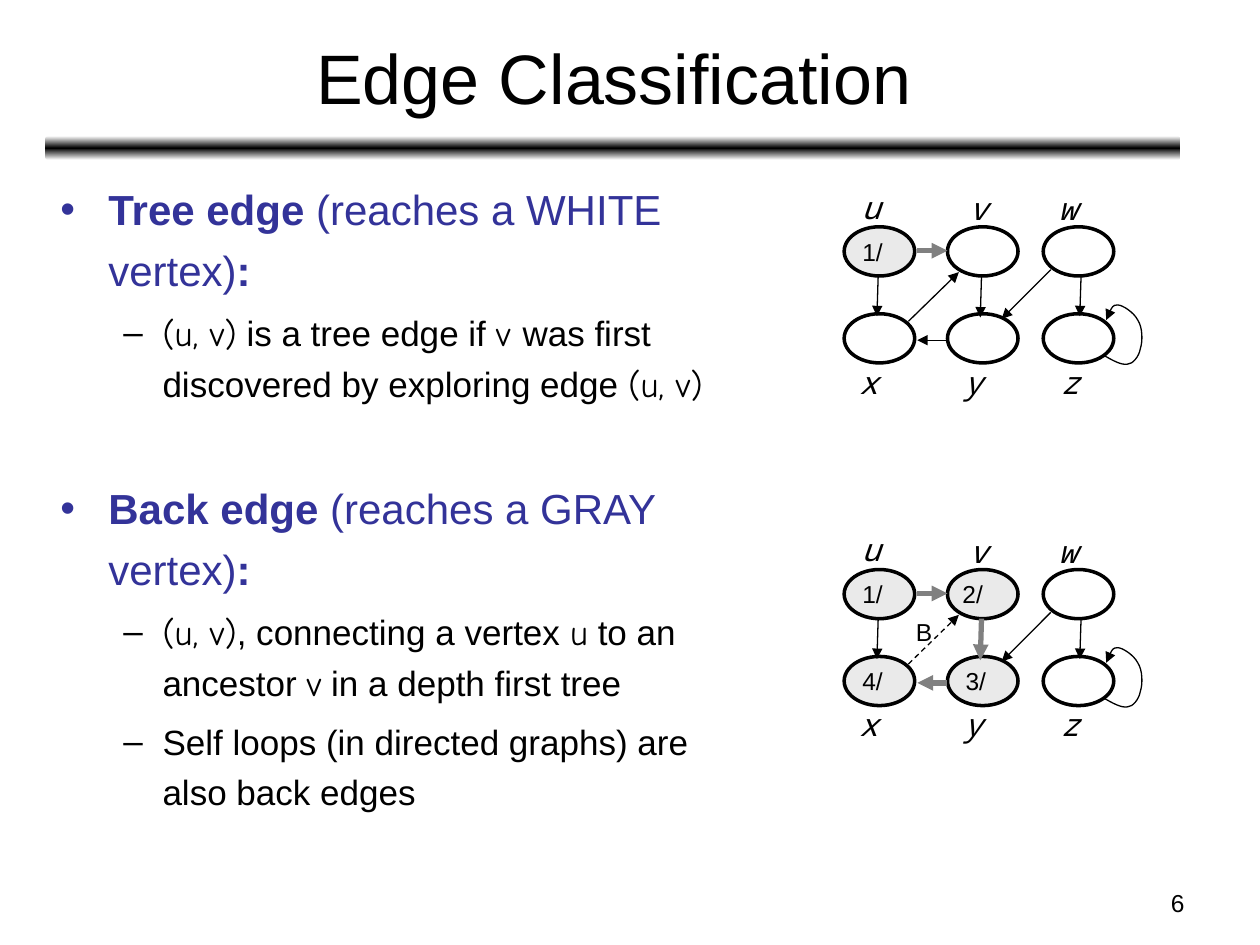
from copy import deepcopy
from dataclasses import dataclass

from pptx import Presentation
from pptx import util as u
from pptx.dml.color import RGBColor
from pptx.enum import dml, shapes, text
from pptx.oxml import ns, xmlchemy


@dataclass(frozen=True)
class Theme:
    ink: RGBColor = RGBColor(0, 0, 0)
    paper: RGBColor = RGBColor(255, 255, 255)
    accent: RGBColor = RGBColor(0x33, 0x33, 0x99)
    visited: RGBColor = RGBColor(0xEA, 0xEA, 0xEA)
    tree: RGBColor = RGBColor(0x80, 0x80, 0x80)
    sans: str = "Arial"
    math: str = "Comic Neue"
    mono: str = "Noto Sans Mono"
    title: int = 40
    head: int = 24
    item: int = 20
    label: int = 18
    small: int = 14


def assign(obj, **values):
    for name, value in values.items():
        setattr(obj, name, value)


def add_child(parent, tag, **attrs):
    el = xmlchemy.OxmlElement(tag)
    for name, value in attrs.items():
        el.set(name, value)
    parent.append(el)
    return el


class Deck:
    def __init__(self, slide, theme):
        self.s, self.t = slide, theme
        self.shapes = slide.shapes

    def place(self, sp, left, top, width, height):
        assign(sp, left=u.Inches(left), top=u.Inches(top),
               width=u.Inches(width), height=u.Inches(height))

    def run(self, p, content, size, color=None, name=None, **font):
        r = p.add_run()
        r.text = content
        assign(r.font, size=u.Pt(size), name=name or self.t.sans, **font)
        r.font.color.rgb = color or self.t.ink

    def line(self, sp, width, color=None, dash=None, arrow=False):
        sp.line.width = u.Pt(width)
        sp.line.color.rgb = color or self.t.ink
        if dash:
            sp.line.dash_style = dash
        if arrow:
            add_child(sp.line._get_or_add_ln(), "a:tailEnd", type="triangle")

    def title(self, content, box):
        sp = self.s.shapes.title
        self.place(sp, *box)
        tf = sp.text_frame
        assign(tf, vertical_anchor=text.MSO_ANCHOR.MIDDLE,
               auto_size=text.MSO_AUTO_SIZE.NONE)
        p = tf.paragraphs[0]
        p.alignment = text.PP_ALIGN.CENTER
        self.run(p, content, self.t.title)

    def body(self, items, box):
        sp = self.s.placeholders[1]
        self.place(sp, *box)
        tf = sp.text_frame
        assign(tf, auto_size=text.MSO_AUTO_SIZE.NONE, vertical_anchor=text.MSO_ANCHOR.TOP)
        levels = [(0.38, -0.38, "•", self.t.accent, self.t.head),
                  (0.81, -0.31, "–", self.t.ink, self.t.item)]
        for i, (level, before, runs) in enumerate(items):
            p = tf.add_paragraph() if i else tf.paragraphs[0]
            margin, indent, mark, color, size = levels[level]
            assign(p, level=level, line_spacing=1.2, space_before=u.Pt(before),
                   alignment=text.PP_ALIGN.LEFT)
            pPr = p._p.get_or_add_pPr()
            pPr.set("marL", str(u.Inches(margin)))
            pPr.set("indent", str(u.Inches(indent)))
            add_child(add_child(pPr, "a:buClr"), "a:srgbClr", val=str(color))
            add_child(pPr, "a:buFont", typeface=self.t.sans)
            add_child(pPr, "a:buChar", char=mark)
            for content, font in runs:
                self.run(p, content, size, color, **font)

    def text(self, content, box, size, align=text.PP_ALIGN.LEFT, grow=True, **font):
        sp = self.shapes.add_textbox(0, 0, 0, 0)
        self.place(sp, *box)
        tf = sp.text_frame
        fit = text.MSO_AUTO_SIZE.SHAPE_TO_FIT_TEXT if grow else text.MSO_AUTO_SIZE.NONE
        assign(tf, word_wrap=not grow, auto_size=fit)
        p = tf.paragraphs[0]
        p.alignment = align
        self.run(p, content, size, **font)

    def rule(self, box):
        sp = self.shapes.add_shape(shapes.MSO_SHAPE.ROUNDED_RECTANGLE, 0, 0, 0, 0)
        self.place(sp, *box)
        sp.shadow.inherit = False
        sp.line.fill.background()
        sp.fill.gradient()
        sp.fill.gradient_angle = 90
        stops = sp._element.find(".//" + ns.qn("a:gsLst"))
        stops.insert(1, deepcopy(stops[0]))
        colors = (self.t.paper, self.t.ink, self.t.paper)
        for i, (stop, color) in enumerate(zip(sp.fill.gradient_stops, colors)):
            stop.position = i / 2
            stop.color.rgb = color

    def vertex(self, box, mark=None, shift=0.11):
        sp = self.shapes.add_shape(shapes.MSO_SHAPE.OVAL, 0, 0, 0, 0)
        self.place(sp, *box)
        sp.shadow.inherit = False
        self.line(sp, 2)
        if not mark:
            sp.fill.background()
            return
        sp.fill.solid()
        sp.fill.fore_color.rgb = self.t.visited
        tf = sp.text_frame
        assign(tf, word_wrap=False, vertical_anchor=text.MSO_ANCHOR.MIDDLE,
               margin_left=0, margin_right=u.Inches(shift))
        p = tf.paragraphs[0]
        p.alignment = text.PP_ALIGN.CENTER
        self.run(p, mark, self.t.small)

    def arrow(self, x1, y1, x2, y2, width=0.75, color=None, dash=None):
        sp = self.shapes.add_connector(shapes.MSO_CONNECTOR.STRAIGHT,
                                       *map(u.Inches, (x1, y1, x2, y2)))
        self.line(sp, width, color, dash, arrow=True)
        add_child(sp._element.spPr, "a:effectLst")

    def curve(self, points):
        start, *rest = [(u.Inches(x), u.Inches(y)) for x, y in points]
        fb = self.shapes.build_freeform(*start)
        fb.add_line_segments(rest, close=False)
        sp = fb.convert_to_shape()
        outline = sp._element.find(".//" + ns.qn("a:path"))
        steps = outline.findall(ns.qn("a:lnTo"))
        for i, step in enumerate(steps):
            if i % 3 == 0:
                bezier = add_child(outline, "a:cubicBezTo")
            bezier.append(step[0])
            outline.remove(step)
        sp.shadow.inherit = False
        sp.fill.background()
        self.line(sp, 0.75, arrow=True)

    def graph(self, top, marks, styles):
        self.shapes = self.s.shapes.add_group_shape().shapes
        for i, name in enumerate("uvwxyz"):
            row, col = divmod(i, 3)
            self.vertex(((6.7, 7.52, 8.28)[col], top + 0.69 * row, 0.56, 0.39),
                        *marks.get(name, ()))
        for name, (x, dy, width) in LABELS.items():
            self.text(name, (x, top + dy, width, 0.4), self.t.label,
                      name=self.t.mono, italic=True)
        for name, (x1, y1, x2, y2) in EDGES.items():
            self.arrow(x1, top + y1, x2, top + y2, **styles.get(name, {}))
        self.curve([(x, top + y) for x, y in LOOP])


LABELS = {"u": (6.74, -0.36, 0.34), "v": (7.59, -0.35, 0.31), "w": (8.3, -0.35, 0.38),
          "x": (6.72, 1.03, 0.32), "y": (7.55, 1.03, 0.31), "z": (8.32, 1.03, 0.31)}
EDGES = {"ux": (6.97, 0.39, 6.96, 0.71), "vy": (7.79, 0.39, 7.78, 0.72),
         "wz": (8.58, 0.39, 8.57, 0.71), "uv": (7.28, 0.19, 7.52, 0.19),
         "yx": (7.52, 0.9, 7.28, 0.9), "wy": (8.34, 0.34, 7.95, 0.73),
         "xv": (7.21, 0.75, 7.61, 0.36)}
LOOP = [(8.76, 1.02), (8.83, 1.06), (8.9, 1.1), (8.95, 1.09), (8.99, 1.09),
        (9.04, 1.03), (9.05, 0.97), (9.07, 0.91), (9.07, 0.8), (9.03, 0.74),
        (9, 0.68), (8.91, 0.62), (8.87, 0.62), (8.83, 0.62), (8.8, 0.68), (8.78, 0.74)]

theme = Theme()
plain, bold, math = {}, {"bold": True}, {"name": theme.math}
items = [
    (0, 6, [("Tree edge ", bold), ("(reaches a WHITE vertex)", plain), (":", bold)]),
    (1, 5, [("(u, v)", math), (" is a tree edge if ", plain), ("v ", math),
            ("was first discovered by exploring edge ", plain), ("(u, v)", math)]),
    (0, 39, [("Back edge ", bold), ("(reaches a GRAY vertex)", plain), (":", bold)]),
    (1, 5, [("(u, v)", math), (", connecting a vertex ", plain), ("u", math),
            (" to an ancestor ", plain), ("v", math), (" in a depth first tree", plain)]),
    (1, 5, [("Self loops (in directed graphs) are also back edges", plain)]),
]
tree = {"width": 3, "color": theme.tree}
back = {"dash": dml.MSO_LINE.DASH}

prs = Presentation()
assign(prs, slide_width=u.Inches(10), slide_height=u.Inches(7.5))
deck = Deck(prs.slides.add_slide(prs.slide_layouts[1]), theme)
deck.rule((0.36, 1.08, 9.01, 0.19))
deck.text("6", (7.17, 7, 2.33, 0.35), theme.small, text.PP_ALIGN.RIGHT, grow=False)
deck.title("Edge Classification", (0.37, 0.11, 9, 0.99))
deck.body(items, (0.38, 1.33, 5.52, 5.86))
deck.graph(1.8, {"u": ("1/",)}, {"uv": tree})
deck.graph(4.52, {"u": ("1/",), "v": ("2/", 0.16), "x": ("4/",), "y": ("3/",)},
           {"uv": tree, "vy": tree, "yx": tree, "xv": back})
deck.text("B", (7.17, 4.85, 0.33, 0.34), theme.small)
prs.save("out.pptx")
